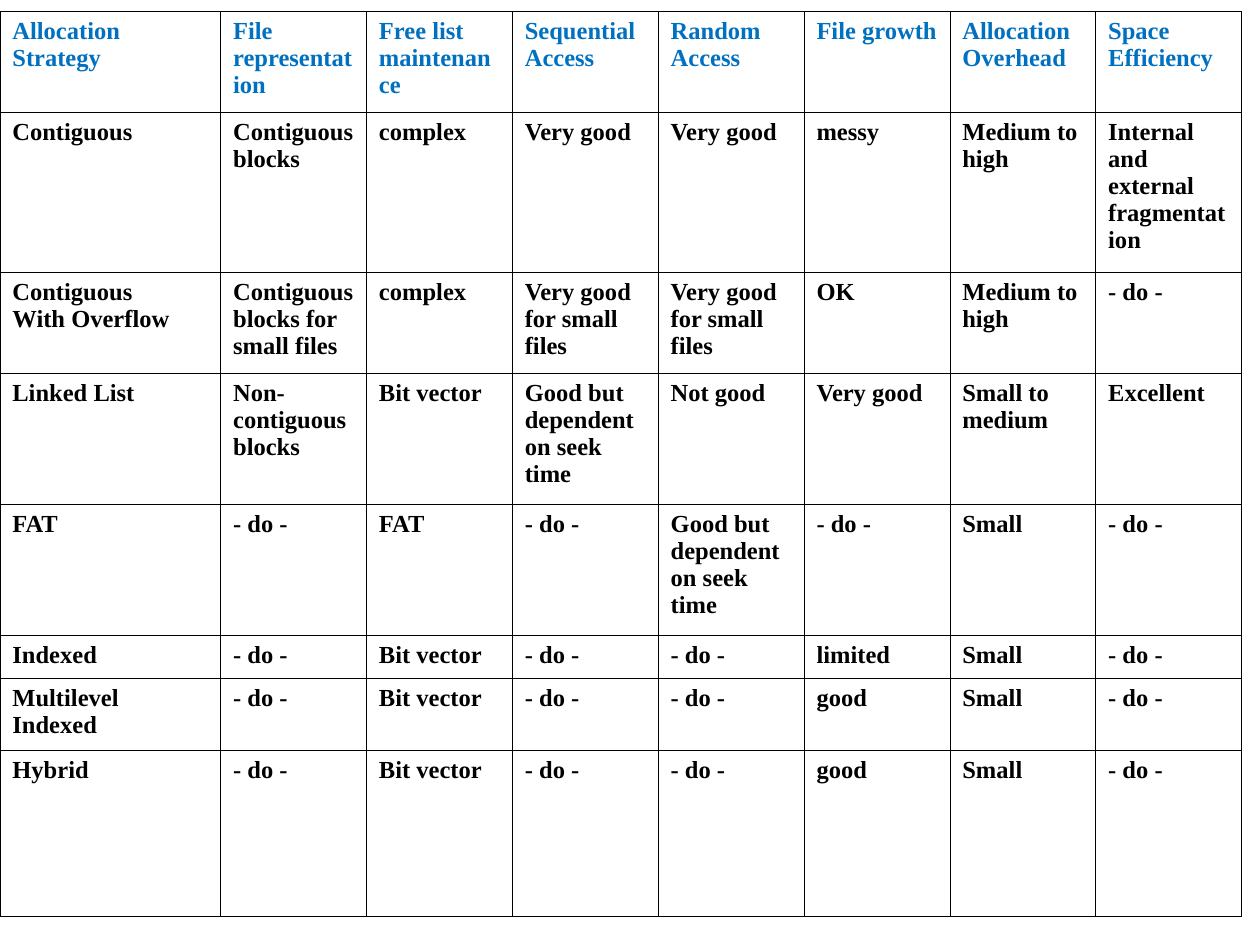
import pptx
import pptx.dml.color
import pptx.enum.text
import pptx.oxml
import pptx.oxml.ns
import pptx.util

Cm = pptx.util.Cm
Pt = pptx.util.Pt

COLOURS = {"heading": "0070C0", "body": "000000", "border": "000000"}
FONT = "Times New Roman"
COLUMN_WIDTHS = [4.45] + [2.94] * 7
ROW_HEIGHTS = [2.03, 3.23, 2.03, 2.64, 2.64, 0.87, 1.45, 3.35]
SAME = "- do -"

# A line break in a cell starts a new paragraph
STRATEGIES = [
    ["Allocation\nStrategy", "File representation", "Free list maintenance",
     "Sequential\nAccess", "Random\nAccess", "File growth",
     "Allocation\nOverhead", "Space\nEfficiency"],
    ["Contiguous", "Contiguous blocks", "complex", "Very good", "Very good",
     "messy", "Medium to high", "Internal and external fragmentation"],
    ["Contiguous\nWith Overflow", "Contiguous blocks for small files", "complex",
     "Very good for small files", "Very good for small files", "OK",
     "Medium to high", SAME],
    ["Linked List", "Non- contiguous blocks", "Bit vector",
     "Good but dependent on seek time", "Not good", "Very good",
     "Small to medium", "Excellent"],
    ["FAT", SAME, "FAT", SAME, "Good but dependent on seek time", SAME,
     "Small", SAME],
    ["Indexed", SAME, "Bit vector", SAME, SAME, "limited", "Small", SAME],
    ["Multilevel\nIndexed", SAME, "Bit vector", SAME, SAME, "good", "Small", SAME],
    ["Hybrid", SAME, "Bit vector", SAME, SAME, "good", "Small", SAME],
]


def write_text(frame, text, size=14, colour=COLOURS["body"], bold=True):
    """Write each line of text as a formatted paragraph."""
    frame.word_wrap = True
    for index, line in enumerate(text.split("\n")):
        para = frame.paragraphs[0] if index == 0 else frame.add_paragraph()
        para.alignment = pptx.enum.text.PP_ALIGN.LEFT
        span = para.add_run()
        span.text = line
        span.font.name = FONT
        span.font.size = Pt(size)
        span.font.bold = bold
        span.font.color.rgb = pptx.dml.color.RGBColor.from_string(colour)


def draw_borders(cell, colour=COLOURS["border"], width=0.45):
    """Draw a thin solid line on all four sides of a cell."""
    properties = cell._tc.get_or_add_tcPr()
    for side in ("lnL", "lnR", "lnT", "lnB"):
        properties.append(pptx.oxml.parse_xml(
            f'<a:{side} {pptx.oxml.ns.nsdecls("a")} w="{Pt(width)}">'
            f'<a:solidFill><a:srgbClr val="{colour}"/></a:solidFill>'
            f'<a:prstDash val="solid"/></a:{side}>'))


def format_cell(cell):
    """Set margins, borders and an empty fill."""
    cell.margin_left = cell.margin_right = Cm(0.25)
    cell.margin_top = cell.margin_bottom = Cm(0.13)
    cell.vertical_anchor = pptx.enum.text.MSO_ANCHOR.TOP
    draw_borders(cell)
    cell.fill.background()


def add_strategy_table(page):
    """Add the comparison of allocation strategies."""
    table = page.shapes.add_table(
        len(ROW_HEIGHTS), len(COLUMN_WIDTHS), Cm(0), Cm(0.23),
        Cm(sum(COLUMN_WIDTHS)), Cm(sum(ROW_HEIGHTS))).table
    table.first_row = False
    table.horz_banding = False
    for column, width in zip(table.columns, COLUMN_WIDTHS):
        column.width = Cm(width)
    for row_index, (row, height) in enumerate(zip(table.rows, ROW_HEIGHTS)):
        row.height = Cm(height)
        colour = COLOURS["heading" if row_index == 0 else "body"]
        for cell, text in zip(row.cells, STRATEGIES[row_index]):
            format_cell(cell)
            write_text(cell.text_frame, text, colour=colour)


def main():
    deck = pptx.Presentation()
    deck.slide_width = Cm(25.4)
    deck.slide_height = Cm(19.05)
    # Blank layout, as the slide has no title
    page = deck.slides.add_slide(deck.slide_layouts[6])
    add_strategy_table(page)
    deck.save("out.pptx")


if __name__ == "__main__":
    main()
